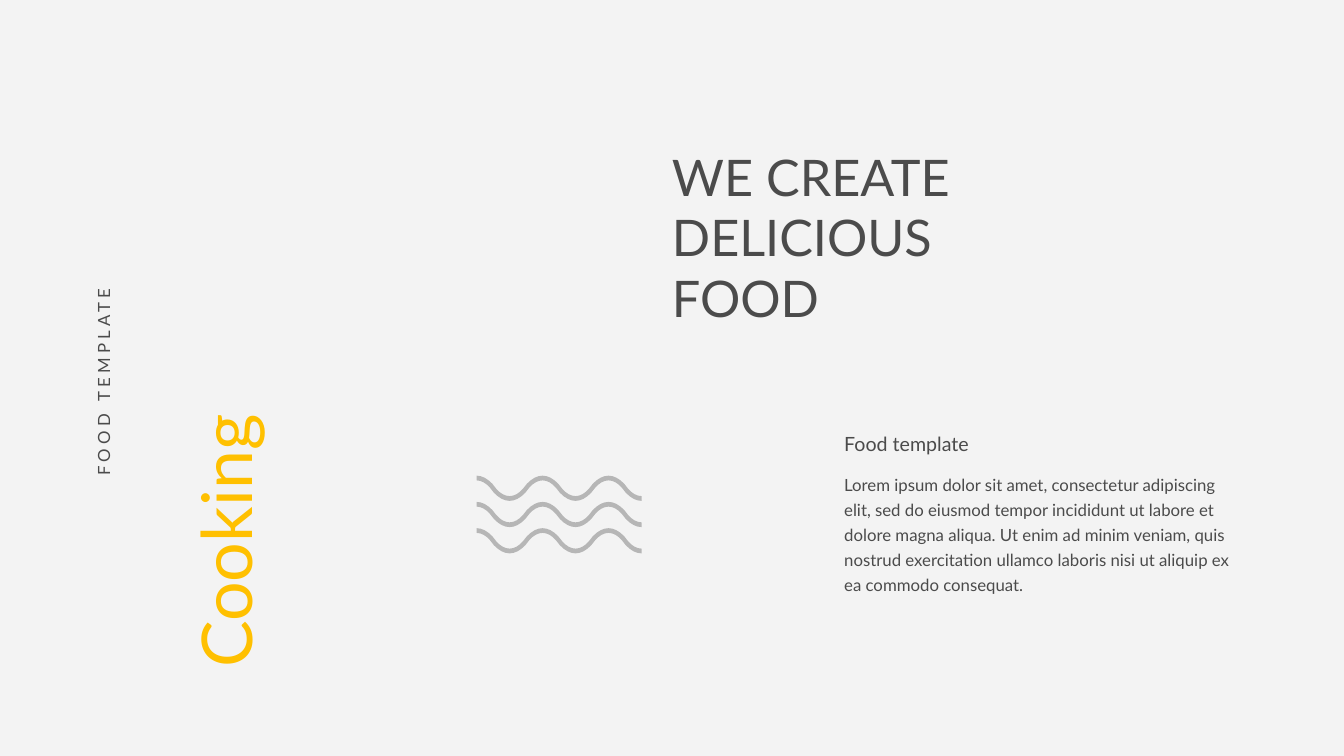
from dataclasses import dataclass

from lxml.etree import SubElement
from pptx import Presentation
from pptx.dml.color import RGBColor
from pptx.enum.text import MSO_ANCHOR, MSO_AUTO_SIZE as AutoSize, PP_ALIGN
from pptx.oxml.ns import qn
from pptx.util import Pt

PX = 9525  # EMU per px, 96 px to the inch
TITLE_ONLY = 5

WAVE_HEIGHT = 24
HALF_PERIOD = 31.4
HALF_WAVES = 5
# Upper edge from crest to trough: a start point, then three Bezier segments.
DESCENT = [
    (0, 0),
    (5, 0), (10, 2.6), (14.9, 7.7),
    (14.9, 7.7), (18.7, 12.5), (18.7, 12.5),
    (22.5, 17), (27, 19.5), (HALF_PERIOD, 19.5),
]


@dataclass(frozen=True)
class Theme:
    font: str = "Lato"
    background: str = "F3F3F3"
    ink: str = "4B4B4B"
    accent: str = "FFC000"
    wave: str = "B6B6B6"
    headline: int = 36
    display: int = 50
    subtitle: int = 14
    body: int = 12


THEME = Theme()


def px(*lengths):
    return [round(length * PX) for length in lengths]


def format_text(shape, text, *, size, color=THEME.ink, wrap=True,
                line_spacing=None, tracking=None, rotation=0):
    """Fill a shape with one paragraph; tracking is letter spacing in points."""
    shape.rotation = rotation
    frame = shape.text_frame
    frame.margin_left = frame.margin_right = 0
    frame.margin_top = frame.margin_bottom = 0
    frame.vertical_anchor = MSO_ANCHOR.TOP
    frame.word_wrap = wrap
    frame.auto_size = AutoSize.SHAPE_TO_FIT_TEXT
    paragraph = frame.paragraphs[0]
    paragraph.alignment = PP_ALIGN.LEFT
    if line_spacing:
        paragraph.line_spacing = line_spacing
    run = paragraph.add_run()
    run.text = text
    run.font.name = THEME.font
    run.font.size = Pt(size)
    run.font.color.rgb = RGBColor.from_string(color)
    if tracking:
        run.font._element.set("spc", str(tracking * 100))


def add_title(slide, box, text, **text_format):
    title = slide.shapes.title
    title.left, title.top, title.width, title.height = px(*box)
    format_text(title, text, **text_format)


def add_text(slide, box, text, **text_format):
    format_text(slide.shapes.add_textbox(*px(*box)), text, **text_format)


def wave_outline():
    """Upper edge, then the same edge turned by 180 degrees as the lower one."""
    ascent = [(HALF_PERIOD - x, y) for x, y in reversed(DESCENT)]
    upper = [DESCENT[0]]
    for index in range(HALF_WAVES):
        half_wave = ascent if index % 2 else DESCENT
        upper += [(index * HALF_PERIOD + x, y) for x, y in half_wave[1:]]
    width = HALF_PERIOD * HALF_WAVES
    lower = [(width - x, WAVE_HEIGHT - y) for x, y in upper]
    return upper + [upper[-1], lower[0]] + lower


def lines_to_curves(shape):
    """Turn each three line segments into one cubic Bezier segment."""
    lines = list(shape._element.iter(qn("a:lnTo")))
    for first in range(0, len(lines), 3):
        curve = SubElement(lines[first].getparent(), qn("a:cubicBezTo"))
        lines[first].addprevious(curve)
        for line in lines[first:first + 3]:
            curve.append(line[0])
            line.getparent().remove(line)


def add_wave(group, left, top):
    outline = [tuple(px(left + x, top + y)) for x, y in wave_outline()]
    builder = group.shapes.build_freeform(*outline[0])
    builder.add_line_segments(outline[1:], close=True)
    wave = builder.convert_to_shape()
    lines_to_curves(wave)
    wave.shadow.inherit = False
    wave.fill.solid()
    wave.fill.fore_color.rgb = RGBColor.from_string(THEME.wave)
    wave.line.fill.background()


def add_wave_stack(slide, left, top, count, step):
    group = slide.shapes.add_group_shape()
    for index in range(count):
        add_wave(group, left, top + index * step)


def main():
    presentation = Presentation()
    presentation.slide_width, presentation.slide_height = px(1280, 720)
    slide = presentation.slides.add_slide(presentation.slide_layouts[TITLE_ONLY])
    background = slide.background.fill
    background.solid()
    background.fore_color.rgb = RGBColor.from_string(THEME.background)

    add_title(slide, (640, 139, 298, 175), "WE CREATE DELICIOUS FOOD",
              size=THEME.headline)
    add_text(slide, (804, 447, 371, 121),
             "Lorem ipsum dolor sit amet, consectetur adipiscing elit, sed do "
             "eiusmod tempor incididunt ut labore et dolore magna aliqua. Ut enim "
             "ad minim veniam, quis nostrud exercitation ullamco laboris nisi ut "
             "aliquip ex ea commodo consequat.",
             size=THEME.body, line_spacing=1.25)
    add_text(slide, (804, 411, 123, 23), "Food template",
             size=THEME.subtitle, wrap=False)
    add_text(slide, (79, 460, 271, 81), "Cooking",
             size=THEME.display, color=THEME.accent, rotation=270)
    add_text(slide, (6, 351, 185, 19), "FOOD TEMPLATE",
             size=THEME.body, wrap=False, tracking=3, rotation=270)
    add_wave_stack(slide, 454, 453, count=3, step=25)
    presentation.save("out.pptx")


if __name__ == "__main__":
    main()
